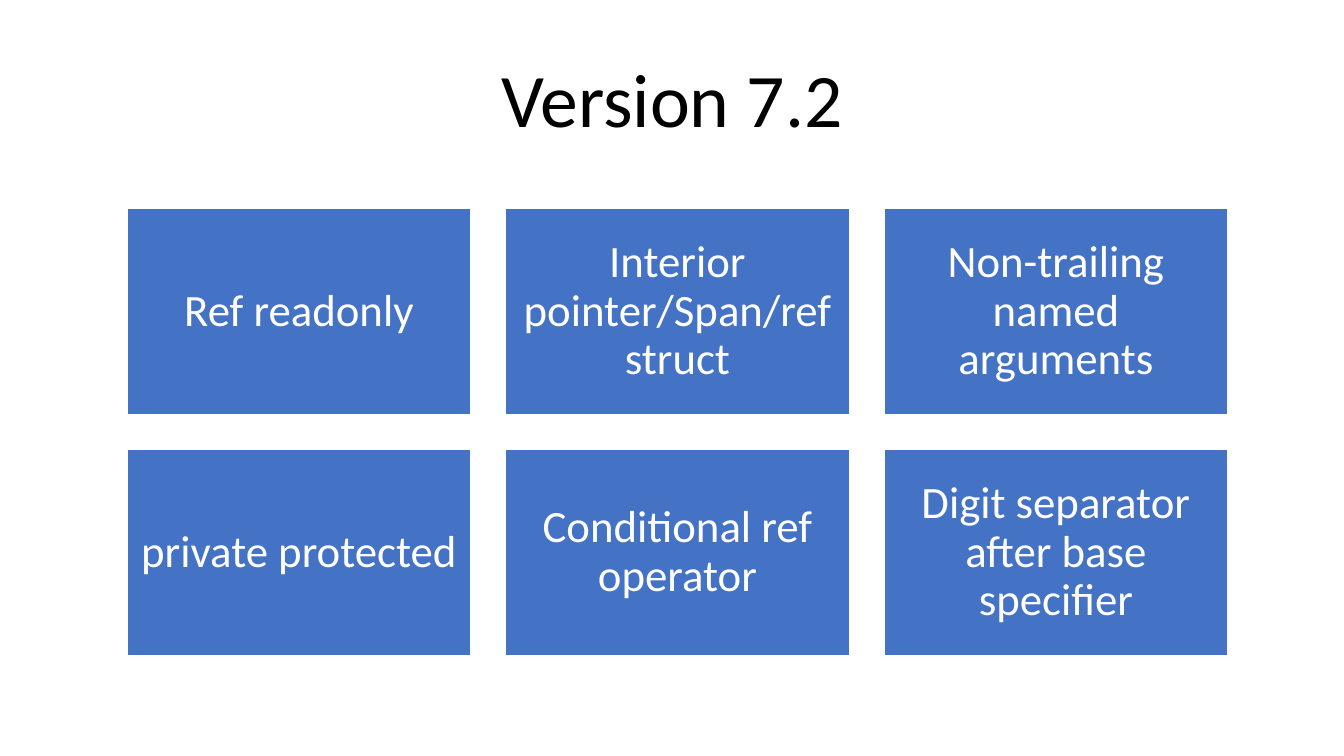
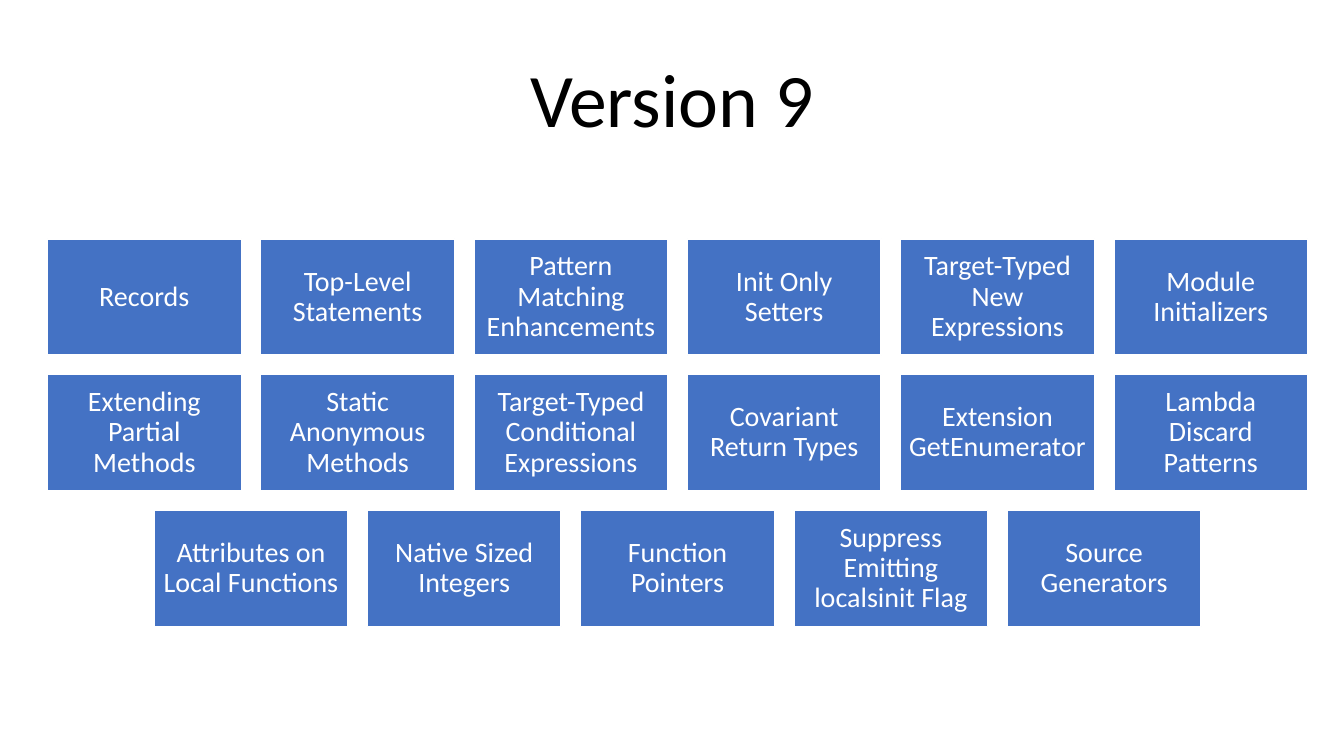
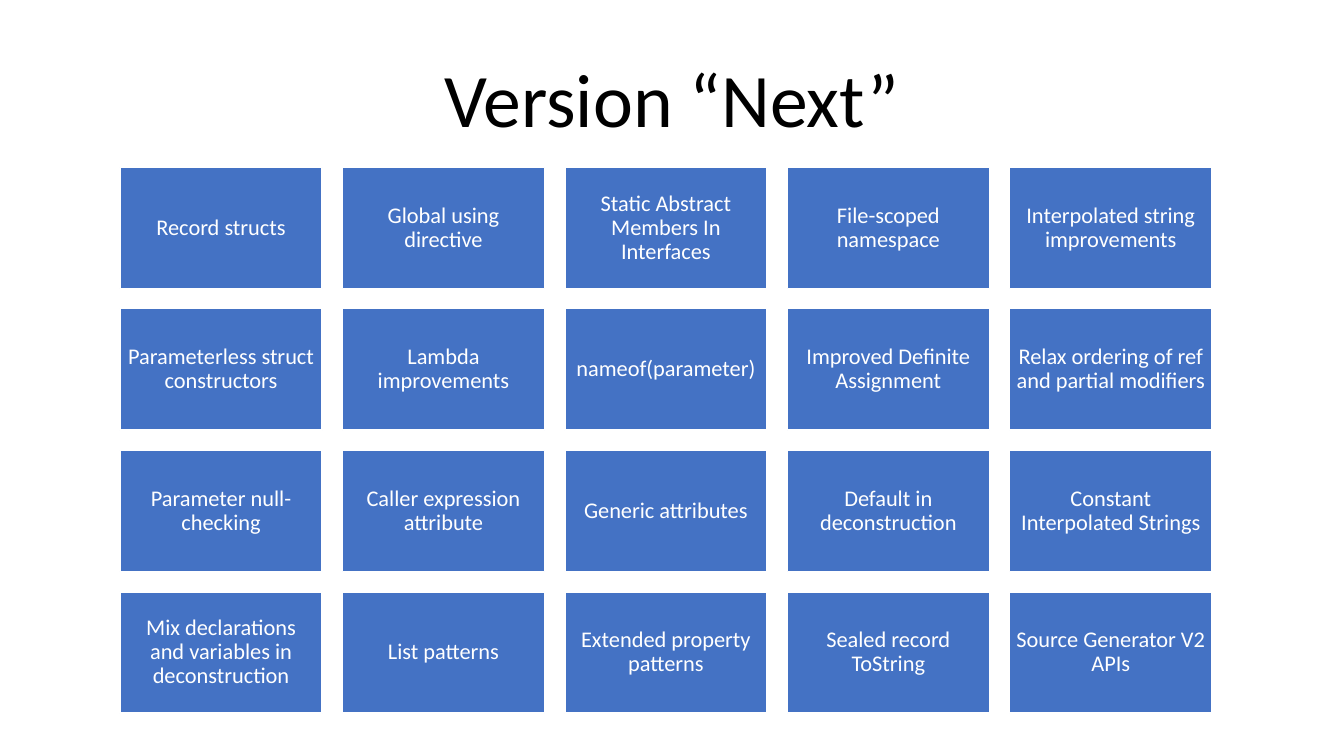
"""Build three slides that list language features by version as grids of tiles."""
from pptx import Presentation, util as u
from pptx.dml.color import RGBColor
from pptx.enum import shapes, text

SLIDE_WIDTH, SLIDE_HEIGHT = 13.33, 7.5
FONT = "Calibri"
BLUE, WHITE, BLACK = "4472C4", "FFFFFF", "000000"
TITLE_TOP, TITLE_HEIGHT, TITLE_SIZE = 0.46, 1.01, 54
TILE_RATIO, GAP_RATIO = 0.6, 0.1
INSET_RATIO = 0.3

VERSIONS = [
    {
        "title": "Version 7.2", "title_width": 3.62,
        "left": 1.26, "top": 2.07, "width": 10.92, "columns": 3, "size": 32,
        "features": [
            "Ref readonly", "Interior pointer/Span/ref struct",
            "Non-trailing named arguments",
            "private protected", "Conditional ref operator",
            "Digit separator after base specifier",
        ],
    },
    {
        "title": "Version 9", "title_width": 3.05,
        "left": 0.47, "top": 2.37, "width": 12.5, "columns": 6, "size": 20,
        "features": [
            "Records", "Top-Level Statements", "Pattern Matching Enhancements",
            "Init Only Setters", "Target-Typed New Expressions",
            "Module Initializers",
            "Extending Partial Methods", "Static Anonymous Methods",
            "Target-Typed Conditional Expressions", "Covariant Return Types",
            "Extension GetEnumerator", "Lambda Discard Patterns",
            "Attributes on Local Functions", "Native Sized Integers",
            "Function Pointers", "Suppress Emitting localsinit Flag",
            "Source Generators",
        ],
    },
    {
        "title": "Version “Next”", "title_width": 4.72,
        "left": 1.19, "top": 1.66, "width": 10.83, "columns": 5, "size": 16,
        "features": [
            "Record structs", "Global using directive",
            "Static Abstract Members In Interfaces", "File-scoped namespace",
            "Interpolated string improvements",
            "Parameterless struct constructors", "Lambda improvements",
            "nameof(parameter)", "Improved Definite Assignment",
            "Relax ordering of ref and partial modifiers",
            "Parameter null-checking", "Caller expression attribute",
            "Generic attributes", "Default in deconstruction",
            "Constant Interpolated Strings",
            "Mix declarations and variables in deconstruction",
            "List patterns", "Extended property patterns",
            "Sealed record ToString", "Source Generator V2 APIs",
        ],
    },
]


def color(value):
    return RGBColor.from_string(value)


def write(shape, words, size, font_color):
    frame = shape.text_frame
    frame.text = words
    frame.vertical_anchor = text.MSO_ANCHOR.MIDDLE
    paragraph = frame.paragraphs[0]
    paragraph.alignment = text.PP_ALIGN.CENTER
    font = paragraph.runs[0].font
    font.name, font.size = FONT, u.Pt(size)
    font.color.rgb = color(font_color)
    return frame, paragraph


def add_title(slide, words, width):
    box = slide.shapes.add_textbox(
        u.Inches((SLIDE_WIDTH - width) / 2), u.Inches(TITLE_TOP),
        u.Inches(width), u.Inches(TITLE_HEIGHT))
    frame, _ = write(box, words, TITLE_SIZE, BLACK)
    frame.word_wrap = False
    frame.auto_size = text.MSO_AUTO_SIZE.SHAPE_TO_FIT_TEXT


def add_tile(slide, words, left, top, width, size):
    tile = slide.shapes.add_shape(
        shapes.MSO_SHAPE.RECTANGLE, u.Inches(left), u.Inches(top),
        u.Inches(width), u.Inches(width * TILE_RATIO))
    tile.shadow.inherit = False
    tile.fill.solid()
    tile.fill.fore_color.rgb = color(BLUE)
    tile.line.color.rgb = color(WHITE)
    tile.line.width = u.Pt(1)
    frame, paragraph = write(tile, words, size, WHITE)
    frame.word_wrap = True
    inset = u.Pt(size * INSET_RATIO)
    frame.margin_left = frame.margin_right = inset
    frame.margin_top = frame.margin_bottom = inset
    paragraph.line_spacing = 0.9


def add_grid(slide, version):
    columns, features = version["columns"], version["features"]
    width = version["width"] / (columns + GAP_RATIO * (columns - 1))
    gap = width * GAP_RATIO
    for start in range(0, len(features), columns):
        row = features[start:start + columns]
        left = version["left"] + (columns - len(row)) * (width + gap) / 2
        top = version["top"] + start // columns * (width * TILE_RATIO + gap)
        for column, feature in enumerate(row):
            add_tile(slide, feature, left + column * (width + gap), top,
                     width, version["size"])


def main():
    presentation = Presentation()
    presentation.slide_width = u.Inches(SLIDE_WIDTH)
    presentation.slide_height = u.Inches(SLIDE_HEIGHT)
    for version in VERSIONS:
        slide = presentation.slides.add_slide(presentation.slide_layouts[6])
        add_grid(slide, version)
        add_title(slide, version["title"], version["title_width"])
    presentation.save("out.pptx")


if __name__ == "__main__":
    main()
